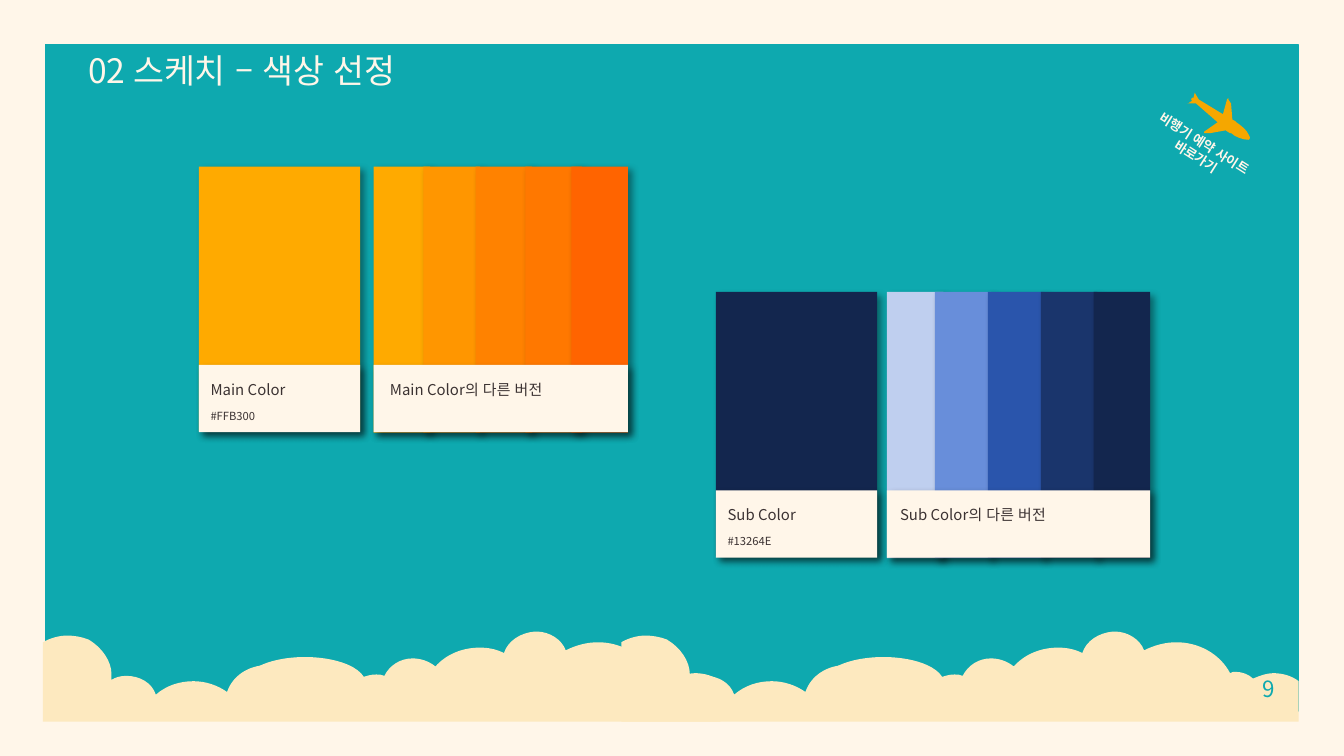
from dataclasses import dataclass

from lxml import etree
from pptx import Presentation
from pptx import util as u
from pptx.dml.color import RGBColor
from pptx.enum import lang, shapes, text
from pptx.oxml.ns import qn

INCH = 0.0254
CLOUD = """M 399 470 C 398 470 398 470 398 470 C 387 471 378 477 375 486
C 369 483 363 482 357 482 C 344 482 332 487 324 496 C 319 492 313 490 307 490
C 298 490 290 495 286 503 C 284 502 282 502 280 502 C 276 502 273 503 270 504
C 263 505 256 506 249 506 C 231 506 214 502 199 495 C 185 495 173 503 169 515
C 162 510 153 507 144 507 C 134 507 124 510 116 517 C 113 508 104 503 94 503
C 90 503 86 504 83 506 C 83 505 83 504 83 502 C 83 492 76 482 66 476
C 61 474 55 473 50 473 C 44 473 37 475 32 478 L 32 537 L 536 537 L 536 507
C 531 503 524 501 517 501 C 512 501 507 503 502 505 C 499 502 494 500 489 500
C 488 500 486 500 485 501 C 477 486 461 478 445 478 C 437 478 429 480 421 484
C 418 476 409 470 399 470"""
PLANE = """M 914 73 C 914 73 913 73 913 74 L 910 85 L 892 74 L 889 69
C 889 69 889 69 889 69 C 889 69 889 69 889 69 L 888 73 L 888 73
C 888 73 888 73 888 73 C 888 72 887 73 887 73 C 886 73 886 74 887 75 L 887 75
L 884 77 C 883 77 883 77 884 77 C 884 77 884 77 884 77 L 890 77 L 906 91
L 896 98 C 896 98 896 99 896 99 C 896 99 897 99 897 99 L 901 99
C 901 99 901 99 901 99 L 912 97 L 915 99 C 915 99 916 99 916 99
C 919 102 925 104 929 104 C 930 104 930 103 930 102 L 930 102 L 929 100
C 928 97 923 93 920 91 C 920 90 919 90 919 90 L 917 89 L 916 77
C 916 77 916 77 916 77 L 914 74 C 914 74 914 73 914 73"""


@dataclass
class Theme:
    face: str = "Noto Sans CJK KR"
    cream: str = "FFF6E9"
    teal: str = "0EA9AF"
    sand: str = "FDE9BF"
    gold: str = "F5A700"
    ink: str = "3B3232"
    head: int = 18
    num: int = 12
    label: int = 8
    badge: int = 7
    code: int = 6


class Deck:
    def __init__(self, theme):
        self.theme = theme
        self.file = Presentation()
        self.file.slide_width = u.Cm(25.4)
        self.file.slide_height = u.Cm(14.29)
        self.slide = self.file.slides.add_slide(self.file.slide_layouts[6])
        self.paint(self.slide.background.fill, theme.cream)

    def paint(self, fill, color):
        fill.solid()
        fill.fore_color.rgb = RGBColor.from_string(color)

    def shape(self, kind, box, color, shade=False):
        item = self.slide.shapes.add_shape(kind, *map(u.Cm, box))
        self.finish(item, color)
        if shade:
            glow = etree.SubElement(
                item.element.spPr.find(qn("a:effectLst")), qn("a:outerShdw"),
                blurRad=str(u.Pt(4)), dist=str(u.Pt(3)), dir="2700000",
                algn="tl", rotWithShape="0")
            black = etree.SubElement(glow, qn("a:srgbClr"), val="000000")
            etree.SubElement(black, qn("a:alpha"), val="40000")
        return item

    def rect(self, box, color, shade=False):
        return self.shape(shapes.MSO_SHAPE.RECTANGLE, box, color, shade)

    def finish(self, item, color):
        item.shadow.inherit = False
        self.paint(item.fill, color)
        item.line.fill.background()

    def free(self, data, color, shift=0):
        words = data.split()
        nums = [float(w) for w in words if not w.isalpha()]
        dots = [(u.Cm(x * INCH + shift), u.Cm(y * INCH))
                for x, y in zip(nums[::2], nums[1::2])]
        pen = self.slide.shapes.build_freeform(*dots[0])
        pen.add_line_segments(dots[1:], close=True)
        item = pen.convert_to_shape()
        legs = iter(list(item.element.iter(qn("a:lnTo"))))
        for cmd in (w for w in words if w in "CL"):
            leg = next(legs)
            if cmd == "C":
                leg.tag = qn("a:cubicBezTo")
                for _ in range(2):
                    rest = next(legs)
                    leg.append(rest[0])
                    rest.getparent().remove(rest)
        self.finish(item, color)

    def text(self, box, lines, size, color, mid=False, bold=False, pad=0.25, turn=0):
        item = self.slide.shapes.add_textbox(*map(u.Cm, box))
        item.rotation = turn
        frame = item.text_frame
        frame.word_wrap = True
        frame.vertical_anchor = text.MSO_ANCHOR.MIDDLE
        frame.margin_left = frame.margin_right = u.Cm(pad)
        frame.margin_top = frame.margin_bottom = u.Cm(pad)
        frame.text = lines
        for para in frame.paragraphs:
            if mid:
                para.alignment = text.PP_ALIGN.CENTER
            font = para.font
            font.size = u.Pt(size)
            font.bold = bold
            font.color.rgb = RGBColor.from_string(color)
            font.name = self.theme.face
            for run in para.runs:
                run.font.language_id = lang.MSO_LANGUAGE_ID.KOREAN

    def cloud(self, shift):
        self.free(CLOUD, self.theme.sand, shift)
        oval = (4.62 + shift, 12.42, 2.29, 0.99)
        self.shape(shapes.MSO_SHAPE.OVAL, oval, self.theme.sand)

    def card(self, x, y, color, name, code):
        look = self.theme
        self.rect((x, y, 3.05, 5), color, True)
        self.rect((x, y + 3.75, 3.05, 1.27), look.cream, True)
        self.text((x - 0.03, y + 3.72, 2.9, 0.97), name, look.label, look.ink)
        self.text((x - 0.03, y + 4.39, 2.9, 0.64), code, look.code, look.ink)

    def strip(self, x, y, wide, tones, name, inset=0):
        look = self.theme
        for step, tone in tones:
            self.rect((x + step, y, 1.07, 5.03), tone, True)
        self.rect((x, y + 3.75, wide, 1.27), look.cream, True)
        self.text((x + inset, y + 3.72, 4.34, 0.97), name, look.label, look.ink)


def main():
    look = Theme()
    deck = Deck(look)
    panel = deck.rect((0.86, 0.84, 23.67, 12.6), look.teal)
    deck.paint(panel.line.fill, look.teal)
    panel.line.width = u.Pt(0.75)
    for shift in (10.93, 0):
        deck.cloud(shift)
    deck.text((1.42, 0.74, 9.68, 1.17), "02 스케치 – 색상 선정", look.head, look.cream)

    warm = [(0, "FFAA00"), (0.94, "FF9600"), (1.93, "FF8200"),
            (2.87, "FF7800"), (3.74, "FF6400")]
    cool = [(0, "BFCFEF"), (0.91, "688EDA"), (1.91, "2A55AC"),
            (2.91, "1A356C"), (3.91, "13264E")]
    deck.card(3.76, 3.15, "FFAA00", "Main Color", "#FFB300")
    deck.strip(7.06, 3.15, 4.81, warm, "Main Color의 다른 버전", 0.06)
    deck.card(13.53, 5.52, "13264E", "Sub Color", "#13264E")
    deck.strip(16.76, 5.52, 4.98, cool, "Sub Color의 다른 버전")

    deck.text((20.9, 12.55, 6.17, 0.94), "9", look.num, look.teal, mid=True)
    deck.free(PLANE, look.gold)
    deck.text((21.43, 2.44, 2.51, 0.79), "비행기 예약 사이트\n바로가기", look.badge,
              look.cream, mid=True, bold=True, pad=0, turn=32.3)
    deck.file.save("out.pptx")


if __name__ == "__main__":
    main()
